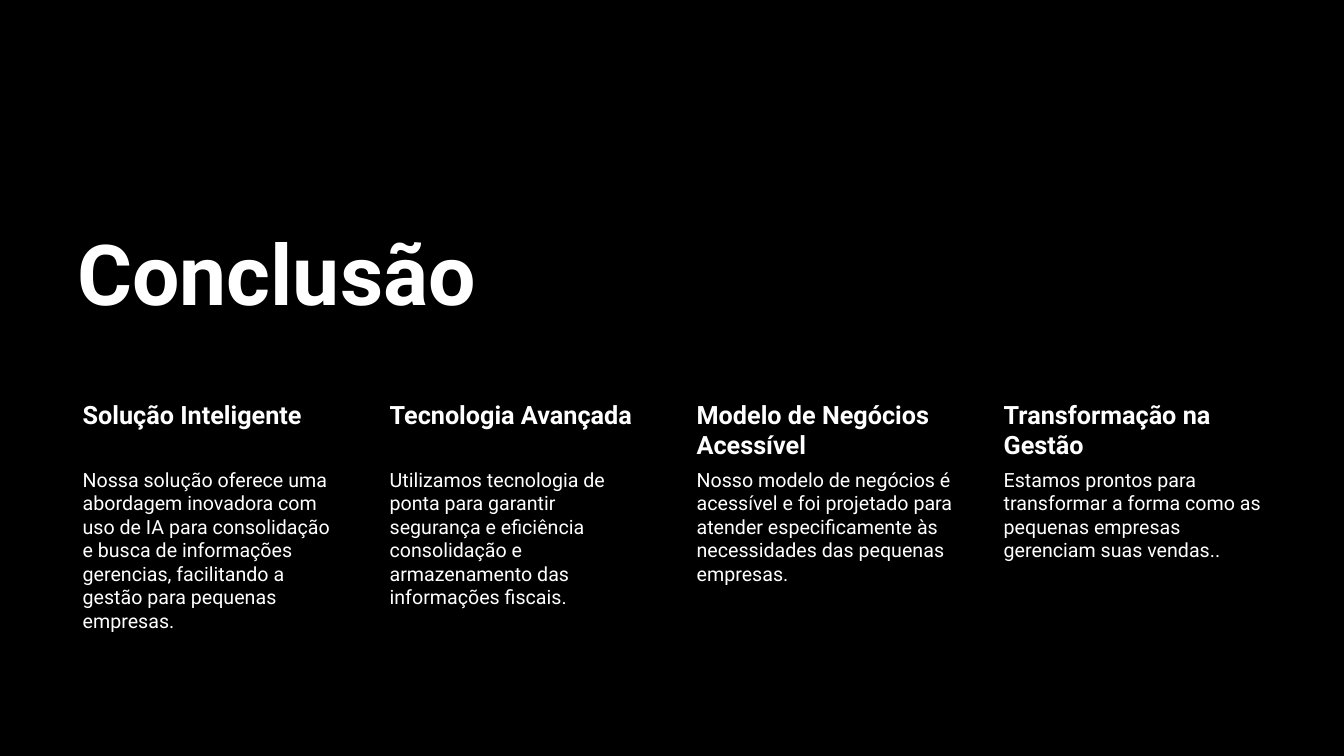
"""Builds the closing slide: a title above four columns of conclusions."""
from pptx import Presentation
from pptx import util as u
from pptx.dml.color import RGBColor
from pptx.enum import text

TITLE = "Conclusão"
COLUMNS = [
    ("Solução Inteligente",
     "Nossa solução oferece uma abordagem inovadora com uso de IA para "
     "consolidação e busca de informações gerencias, facilitando a gestão "
     "para pequenas empresas."),
    ("Tecnologia Avançada",
     "Utilizamos tecnologia de ponta para garantir segurança e eficiência "
     "consolidação e armazenamento das informações fiscais."),
    ("Modelo de Negócios Acessível",
     "Nosso modelo de negócios é acessível e foi projetado para atender "
     "especificamente às necessidades das pequenas empresas."),
    ("Transformação na Gestão",
     "Estamos prontos para transformar a forma como as pequenas empresas "
     "gerenciam suas vendas.."),
]
COLORS = {"background": "000000", "text": "FFFFFF"}
FONT = "Roboto"
LEFT, COLUMN_WIDTH, COLUMN_STEP = 0.67, 2.77, 3.045
HEADING_TOP, HEADING_HEIGHT, BODY_HEIGHT = 3.93, 0.69, 2.05


def add_text(page, words, place, size, insets, bold=False):
    box = page.shapes.add_textbox(*map(u.Inches, place))
    frame = box.text_frame
    frame.word_wrap = True
    frame.margin_left, frame.margin_top, frame.margin_right, frame.margin_bottom = map(
        u.Inches, insets)
    para = frame.paragraphs[0]
    para.text = words
    para.font.name = FONT
    para.font.size = u.Pt(size)
    para.font.bold = bold
    para.font.color.rgb = RGBColor.from_string(COLORS["text"])
    return frame


def main():
    deck = Presentation()
    deck.slide_width, deck.slide_height = u.Inches(13.33), u.Inches(7.5)
    page = deck.slides.add_slide(deck.slide_layouts[6])
    page.background.fill.solid()
    page.background.fill.fore_color.rgb = RGBColor.from_string(COLORS["background"])

    title = add_text(page, TITLE, (LEFT, 2.02, 8.03, 1.24), 60,
                     (0.1, 0.05, 0.1, 0.05), bold=True)
    title.vertical_anchor = text.MSO_ANCHOR.BOTTOM
    title.paragraphs[0].line_spacing = 0.9

    for index, (heading, body) in enumerate(COLUMNS):
        left = LEFT + index * COLUMN_STEP
        add_text(page, heading, (left, HEADING_TOP, COLUMN_WIDTH, HEADING_HEIGHT),
                 18, (0.15, 0.03, 0.03, 0.03), bold=True)
        add_text(page, body,
                 (left, HEADING_TOP + HEADING_HEIGHT, COLUMN_WIDTH, BODY_HEIGHT),
                 14, (0.15, 0.02, 0.02, 0.02))

    deck.save("out.pptx")


if __name__ == "__main__":
    main()
